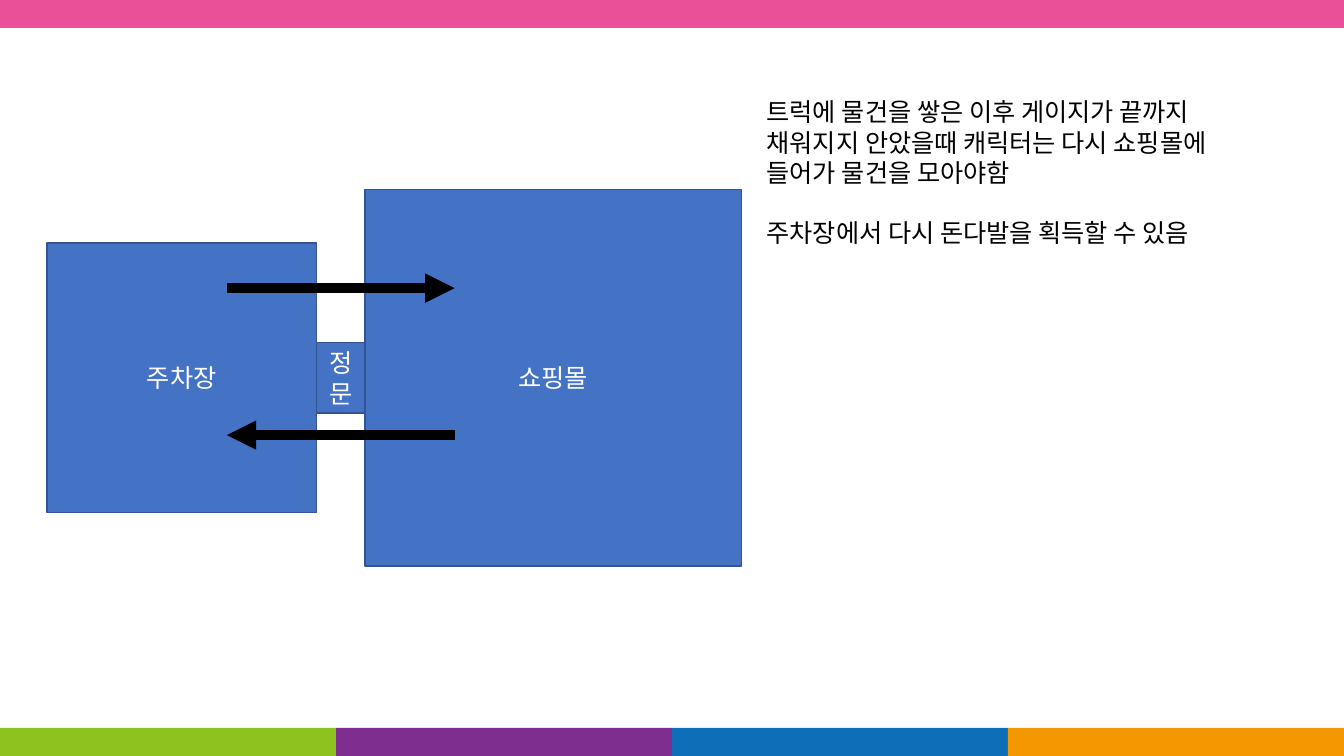
"""Build the slide on moving between the parking lot and the mall."""
from lxml.etree import SubElement
from pptx import Presentation
from pptx.dml.color import RGBColor
from pptx.enum.shapes import MSO_CONNECTOR as Link, MSO_SHAPE as Shape
from pptx.enum.text import MSO_ANCHOR as Anchor, PP_ALIGN as Align
from pptx.oxml.ns import qn
from pptx.util import Pt

PINK = RGBColor(0xE9, 0x50, 0x98)
GREEN = RGBColor(0x8E, 0xC3, 0x1F)
PURPLE = RGBColor(0x7E, 0x2E, 0x8E)
BLUE = RGBColor(0x0E, 0x6E, 0xB8)
ORANGE = RGBColor(0xF3, 0x98, 0x00)
ROOM = RGBColor(0x44, 0x72, 0xC4)
EDGE = RGBColor(0x32, 0x54, 0x91)
WHITE = RGBColor(0xFF, 0xFF, 0xFF)
BLACK = RGBColor(0x00, 0x00, 0x00)

WIDE, HIGH, BAND = 960, 540, 20


class Page:
    """Hold the text style and the current slide."""

    font = "Noto Sans CJK KR"
    size = 18
    pitch = 21.6

    def __init__(self, slide):
        self.shapes = slide.shapes

    def style(self, para, color, align):
        para.alignment = align
        para.line_spacing = Pt(self.pitch)
        for run in para.runs:
            run.font.size = Pt(self.size)
            run.font.name = self.font
            run.font.color.rgb = color
            east = SubElement(run.font._element, qn("a:ea"))
            east.set("typeface", self.font)

    def rect(self, left, top, width, height, fill):
        box = self.shapes.add_shape(
            Shape.RECTANGLE, Pt(left), Pt(top), Pt(width), Pt(height))
        box.shadow.inherit = False
        box.fill.solid()
        box.fill.fore_color.rgb = fill
        box.line.fill.background()
        return box

    def room(self, name, left, top, width, height):
        box = self.rect(left, top, width, height, ROOM)
        box.line.color.rgb = EDGE
        box.line.width = Pt(1)
        frame = box.text_frame
        frame.word_wrap = True
        frame.vertical_anchor = Anchor.MIDDLE
        frame.text = name
        self.style(frame.paragraphs[0], WHITE, Align.CENTER)

    def arrow(self, start, end, y):
        line = self.shapes.add_connector(
            Link.STRAIGHT, Pt(start), Pt(y), Pt(end), Pt(y))
        line.line.color.rgb = BLACK
        line.line.width = Pt(7)
        tip = SubElement(line.line._get_or_add_ln(), qn("a:tailEnd"))
        tip.set("type", "triangle")
        SubElement(line._element.spPr, qn("a:effectLst"))

    def note(self, lines, left, top, width, height):
        box = self.shapes.add_textbox(
            Pt(left), Pt(top), Pt(width), Pt(height))
        frame = box.text_frame
        frame.word_wrap = False
        frame.text = "\n".join(lines)
        for para in frame.paragraphs:
            self.style(para, BLACK, Align.LEFT)
        frame.paragraphs[-1].space_before = Pt(self.pitch)


def main():
    deck = Presentation()
    deck.slide_width, deck.slide_height = Pt(WIDE), Pt(HIGH)
    page = Page(deck.slides.add_slide(deck.slide_layouts[6]))

    page.rect(0, 0, WIDE, BAND, PINK)
    colors = (GREEN, PURPLE, BLUE, ORANGE)
    part = WIDE / len(colors)
    for i, color in enumerate(colors):
        page.rect(i * part, HIGH - BAND, part, BAND, color)

    page.room("주차장", 33.5, 173.5, 192.5, 192.5)
    page.room("정문", 226, 244.8, 36, 50.2)
    page.room("쇼핑몰", 260.8, 135.5, 268.8, 268.8)
    page.arrow(162, 324.7, 205.8)
    page.arrow(324.7, 162, 310.8)

    page.note(("트럭에 물건을 쌓은 이후 게이지가 끝까지",
               "채워지지 안았을때 캐릭터는 다시 쇼핑몰에",
               "들어가 물건을 모아야함",
               "주차장에서 다시 돈다발을 획득할 수 있음"),
              540.5, 65.5, 367, 116.6)

    deck.save("out.pptx")


if __name__ == "__main__":
    main()
